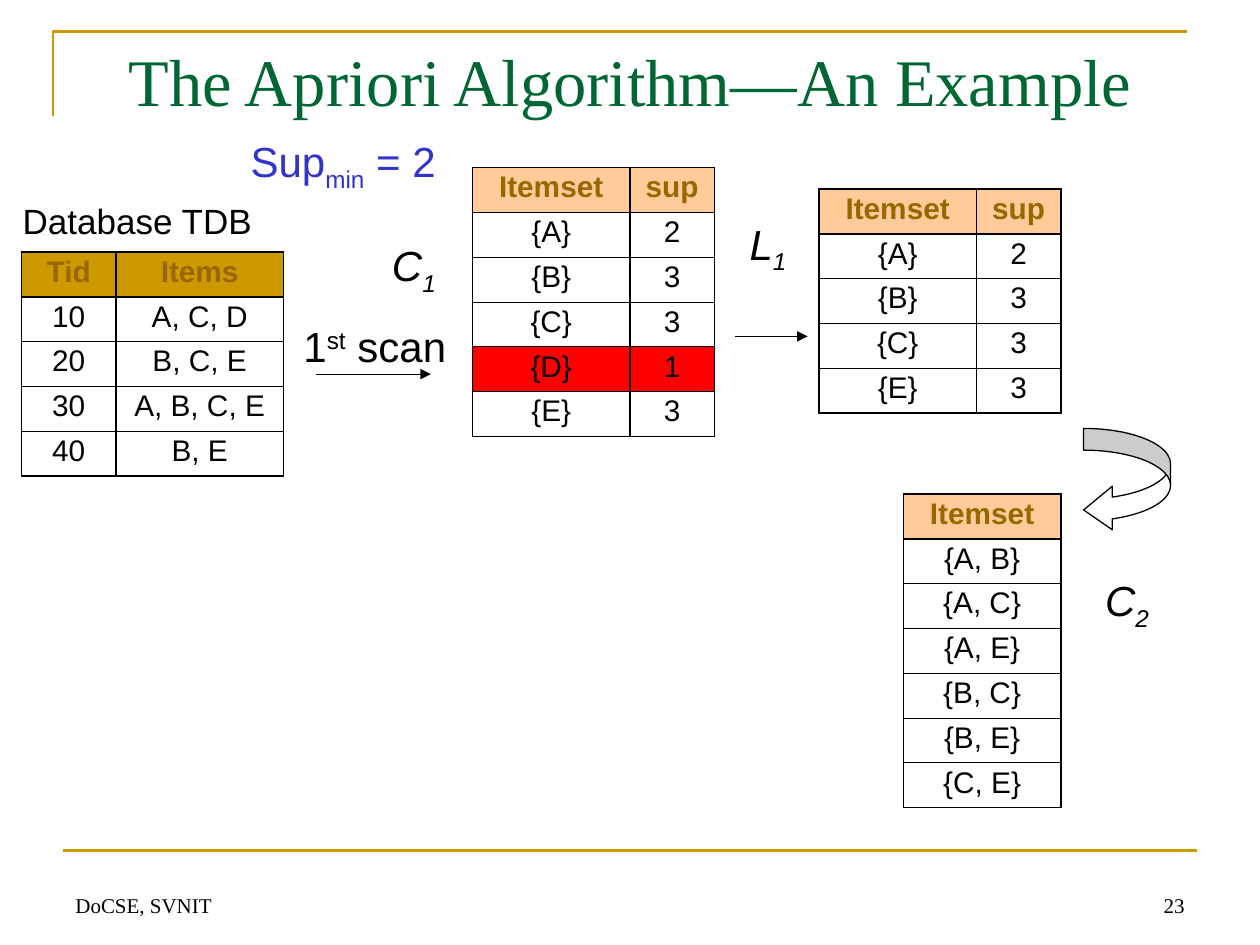
from lxml import etree
from pptx import Presentation
from pptx.dml.color import RGBColor
from pptx.enum.shapes import MSO_CONNECTOR, MSO_SHAPE
from pptx.enum.text import MSO_ANCHOR, PP_ALIGN
from pptx.oxml.ns import qn
from pptx.util import Inches, Pt

STRAIGHT = MSO_CONNECTOR.STRAIGHT
CURVED = MSO_SHAPE.CURVED_LEFT_ARROW
LEFT, CENTER, RIGHT = PP_ALIGN.LEFT, PP_ALIGN.CENTER, PP_ALIGN.RIGHT
TOP, MIDDLE, BOTTOM = MSO_ANCHOR.TOP, MSO_ANCHOR.MIDDLE, MSO_ANCHOR.BOTTOM

BLACK = RGBColor(0, 0, 0)
WHITE = RGBColor(0xFF, 0xFF, 0xFF)
GOLD = RGBColor(0xCC, 0x99, 0x00)
BROWN = RGBColor(0x99, 0x66, 0x00)
PEACH = RGBColor(0xFF, 0xCC, 0x99)
RED = RGBColor(0xFF, 0, 0)
GREEN = RGBColor(0, 0x66, 0x33)
BLUE = RGBColor(0x33, 0x33, 0xCC)

SANS, SERIF = "Arial", "Times New Roman"
ROW = 0.355
THICK, THIN = 1.08, 0.45


def style(para, size, color, face=SANS, align=LEFT):
    para.alignment = align
    font = para.font
    font.name, font.size = face, Pt(size)
    font.color.rgb = color


def add_text(slide, box, runs, size, color=BLACK, face=SANS, align=CENTER,
             anchor=MIDDLE, wrap=False, italic=False):
    """Place one line of text; runs are (text, baseline shift in percent)."""
    frame = slide.shapes.add_textbox(*map(Inches, box)).text_frame
    frame.word_wrap = wrap
    frame.vertical_anchor = anchor
    para = frame.paragraphs[0]
    style(para, size, color, face, align)
    para.font.italic = italic
    for text, shift in runs:
        run = para.add_run()
        run.text = text
        if shift:
            run.font._element.set("baseline", str(shift * 1000))


def add_line(slide, start, end, color=BLACK, width=0.75, arrow=False):
    line = slide.shapes.add_connector(STRAIGHT, *map(Inches, start + end))
    line.line.color.rgb = color
    line.line.width = Pt(width)
    if arrow:
        etree.SubElement(line.line._get_or_add_ln(), qn("a:tailEnd"),
                         type="triangle")
    etree.SubElement(line._element.spPr, qn("a:effectLst"))


def set_border(cell, side, width):
    props = cell._tc.get_or_add_tcPr()
    edge = etree.SubElement(props, qn("a:ln" + side), w=str(int(Pt(width))))
    fill = etree.SubElement(edge, qn("a:solidFill"))
    etree.SubElement(fill, qn("a:srgbClr"), val=str(BLACK))


def add_grid(slide, left, top, widths, rows, head=PEACH, marked=None):
    """Draw a table with a coloured head row and an optional red row."""
    last = len(rows) - 1
    table = slide.shapes.add_table(
        len(rows), len(widths), Inches(left), Inches(top),
        Inches(sum(widths)), Inches(ROW * len(rows))).table
    table.horz_banding = False
    for col, width in zip(table.columns, widths):
        col.width = Inches(width)
    for r, row in enumerate(rows):
        table.rows[r].height = Inches(ROW)
        for c, text in enumerate(row):
            cell = table.cell(r, c)
            widths_by_side = {"L": THICK, "R": THICK,
                              "T": THICK if r < 2 else THIN,
                              "B": THICK if r in (0, last) else THIN}
            for side, width in widths_by_side.items():
                set_border(cell, side, width)
            color = head if r == 0 else RED if r == marked else None
            if color is None:
                cell.fill.background()
            else:
                cell.fill.solid()
                cell.fill.fore_color.rgb = color
            cell.text = text
            para = cell.text_frame.paragraphs[0]
            style(para, 17, BLACK if r else BROWN, align=CENTER)
            para.font.bold = r == 0
            para.line_spacing = 0.9


def add_frame(slide, left, top, width, height):
    """Open corner rule at the top and straight rule at the foot."""
    path = slide.shapes.build_freeform(
        Inches(left), Inches(top + height))
    path.add_line_segments(
        [(Inches(left), Inches(top)), (Inches(left + width), Inches(top))],
        close=False)
    corner = path.convert_to_shape()
    corner.shadow.inherit = False
    corner.fill.background()
    corner.line.color.rgb = GOLD
    corner.line.width = Pt(1.5)
    add_line(slide, (0.5, 6.75), (9.5, 6.75), GOLD, 1.5)


def add_title(slide, box, text):
    title = slide.shapes.title
    title.left, title.top, title.width, title.height = map(Inches, box)
    title.text = text
    title.text_frame.vertical_anchor = BOTTOM
    style(title.text_frame.paragraphs[0], 38, GREEN, SERIF)


def add_turn(slide, box):
    turn = slide.shapes.add_shape(CURVED, *map(Inches, box))
    turn.adjustments[2] = 0.33
    turn.shadow.inherit = False
    turn.fill.solid()
    turn.fill.fore_color.rgb = WHITE
    turn.line.color.rgb = BLACK
    turn.line.width = Pt(0.75)


def main():
    prs = Presentation()
    prs.slide_width, prs.slide_height = Inches(10), Inches(7.5)
    slide = prs.slides.add_slide(prs.slide_layouts[5])

    # Frame, title and footer
    add_frame(slide, 0.42, 0.25, 9, 0.67)
    add_title(slide, (0.92, 0.33, 8.52, 0.67),
              "The Apriori Algorithm—An Example")
    add_text(slide, (0.5, 6.83, 6.08, 0.5), [("DoCSE, SVNIT", 0)], 12,
             face=SERIF, align=LEFT, anchor=BOTTOM, wrap=True)
    add_text(slide, (7.17, 6.83, 2.33, 0.5), [("23", 0)], 12,
             face=SERIF, align=RIGHT, anchor=BOTTOM, wrap=True)

    # Labels
    add_text(slide, (1.89, 1.03, 1.92, 0.56),
             [("Sup", 0), ("min", -25), (" = 2", 0)], 24, BLUE,
             align=LEFT, anchor=TOP, wrap=True)
    add_text(slide, (0.08, 1.53, 2.02, 0.44), [("Database TDB", 0)], 20)
    add_text(slide, (2.31, 2.49, 1.33, 0.5),
             [("1", 0), ("st", 30), (" scan", 0)], 24)
    for name, index, left, top, width in (("C", "1", 3.01, 1.85, 0.55),
                                          ("L", "1", 5.85, 1.68, 0.49),
                                          ("C", "2", 8.67, 4.51, 0.55)):
        add_text(slide, (left, top, width, 0.56),
                 [(name, 0), (index, -25)], 24, italic=True)

    # Arrows between the steps
    add_line(slide, (2.51, 2.97), (3.42, 2.97), arrow=True)
    add_line(slide, (5.83, 2.67), (6.41, 2.67), arrow=True)
    add_turn(slide, (8.6, 3.4, 0.69, 0.82))

    # Tables
    counts = [("Itemset", "sup"), ("{A}", "2"), ("{B}", "3"), ("{C}", "3"),
              ("{D}", "1"), ("{E}", "3")]
    pairs = ["{A, B}", "{A, C}", "{A, E}", "{B, C}", "{B, E}", "{C, E}"]
    add_grid(slide, 0.17, 2, (0.75, 1.33),
             [("Tid", "Items"), ("10", "A, C, D"), ("20", "B, C, E"),
              ("30", "A, B, C, E"), ("40", "B, E")], head=GOLD)
    add_grid(slide, 3.75, 1.33, (1.25, 0.67), counts, marked=4)
    add_grid(slide, 6.5, 1.5, (1.25, 0.67),
             [row for row in counts if row[1] != "1"])
    add_grid(slide, 7.17, 3.92, (1.25,),
             [(text,) for text in ["Itemset"] + pairs])

    prs.save("out.pptx")


if __name__ == "__main__":
    main()
